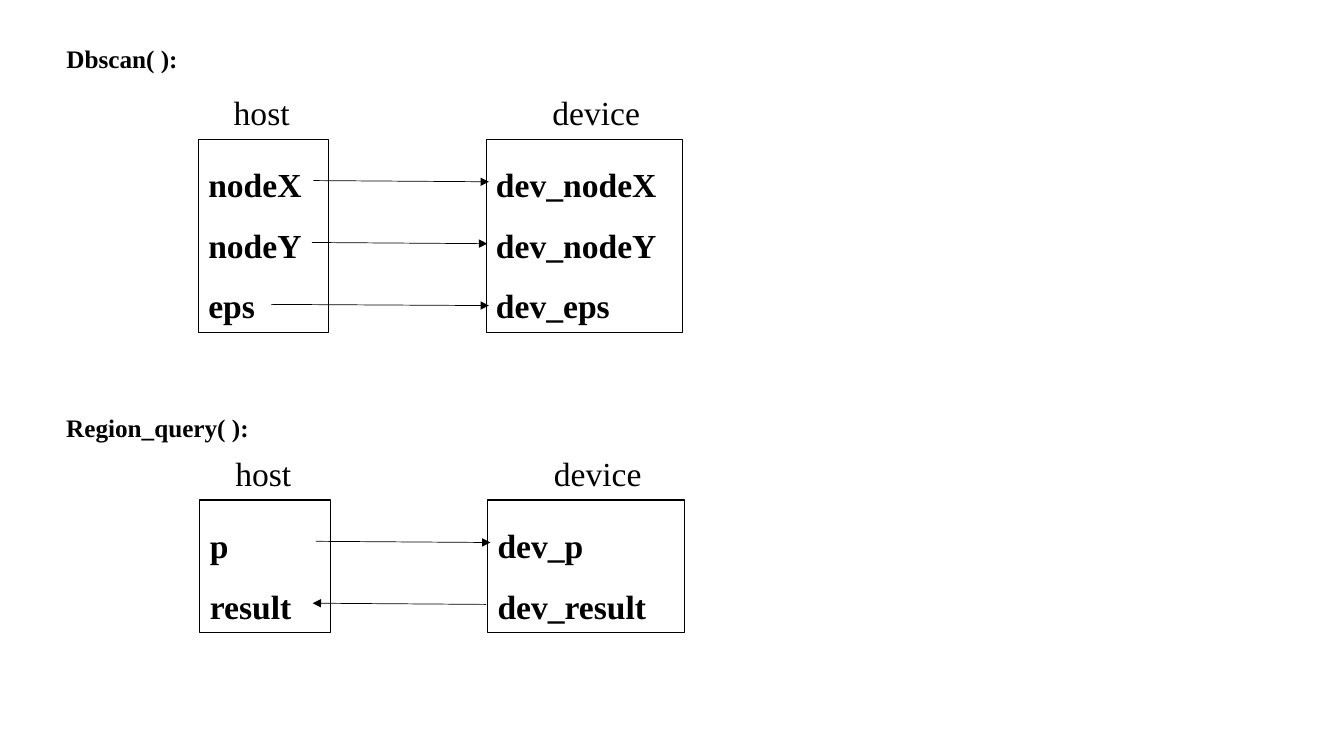
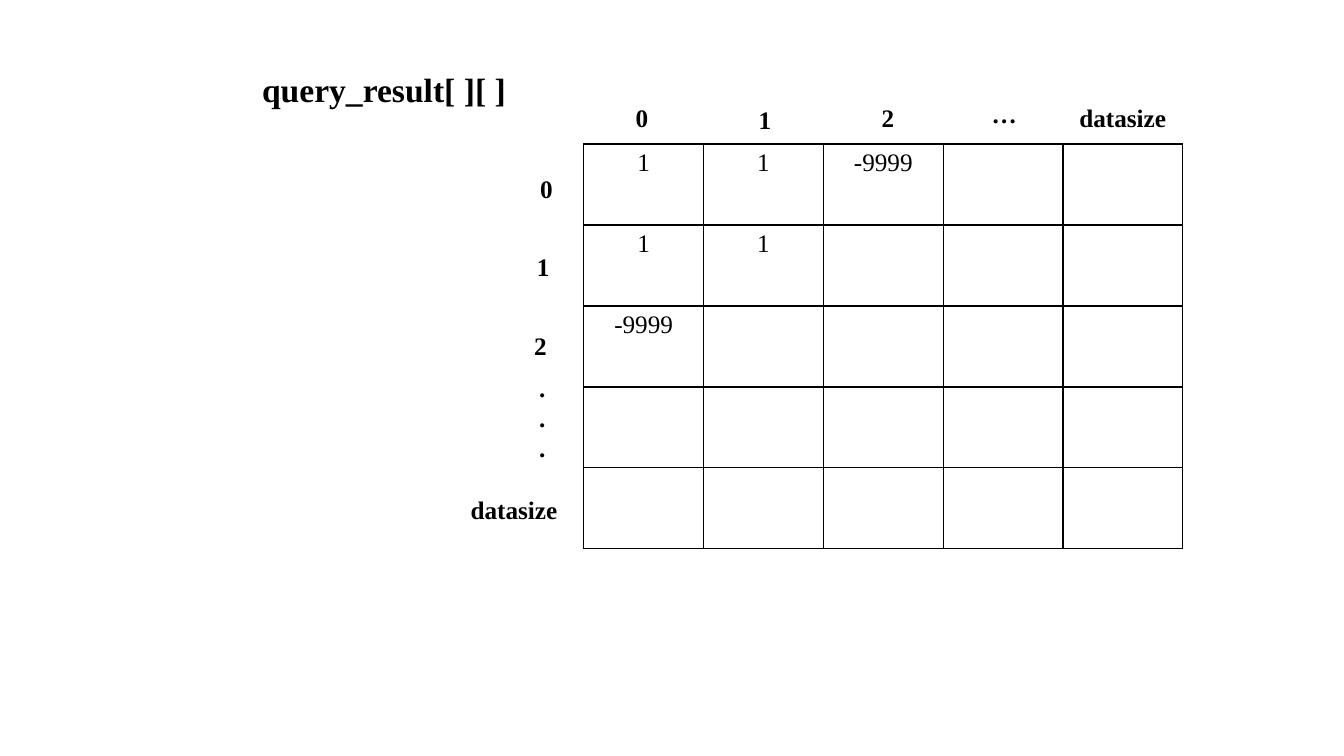
from dataclasses import dataclass

from lxml import etree
from pptx import Presentation
from pptx import util as u
from pptx.dml.color import RGBColor
from pptx.enum import shapes, text
from pptx.oxml import ns

INK = RGBColor(0x00, 0x00, 0x00)
FONT = "Times New Roman"
LARGE, SMALL = 24, 18
LINE_HEIGHT = {LARGE: 1.27, SMALL: 1.03}
TITLE_ONLY = 5


@dataclass(frozen=True)
class Label:
    """A line or lines of text; lengths are in centimetres."""
    words: str
    left: float
    top: float
    width: float
    size: int = SMALL
    bold: bool = True


@dataclass(frozen=True)
class Transfer:
    """A host variable and its device twin, with arrow ends relative to the boxes."""
    host: str
    device: str
    host_end: float
    device_end: float
    to_host: bool = False


@dataclass(frozen=True)
class MemoryMap:
    left: float
    top: float
    height: float
    transfers: tuple[Transfer, ...]


HOST_WIDTH, DEVICE_WIDTH = 3.28, 4.96
DEVICE_OFFSET = 7.25
ARROW_OFFSET, ARROW_PITCH, ARROW_DROP = 1.04, 1.56, 0.03

DBSCAN_MAP = MemoryMap(5, 3.51, 4.88, (
    Transfer("nodeX", "dev_nodeX", 2.9, 0.07),
    Transfer("nodeY", "dev_nodeY", 2.86, 0.03),
    Transfer("eps", "dev_eps", 1.83, 0.07),
))
REGION_QUERY_MAP = MemoryMap(5.04, 12.6, 3.33, (
    Transfer("p", "dev_p", 2.92, 0.07),
    Transfer("result", "dev_result", 2.84, -0.04, to_host=True),
))

DBSCAN_TITLE = Label("Dbscan( ):", 1.42, 0.97, 3.56)
REGION_QUERY_TITLE = Label("Region_query( ):", 1.42, 10.26, 5.41)
RESULT_TITLE = Label("query_result[ ][ ]", 6.35, 1.6, 7.14, LARGE)

INDEX_WIDTH, DATASIZE_WIDTH = 1.37, 2.87
INDEX_LABELS = (
    Label("0", 15.77, 2.46, INDEX_WIDTH),
    Label("1", 18.87, 2.51, INDEX_WIDTH),
    Label("2", 21.97, 2.46, INDEX_WIDTH),
    Label("…", 24.74, 2.36, INDEX_WIDTH),
    Label("datasize", 26.95, 2.46, DATASIZE_WIDTH),
    Label("0", 13.36, 4.24, INDEX_WIDTH),
    Label("1", 13.28, 6.2, INDEX_WIDTH),
    Label("2", 13.21, 8.2, INDEX_WIDTH),
    Label(".\n.\n.", 13.34, 9.25, INDEX_WIDTH),
    Label("datasize", 11.61, 12.32, DATASIZE_WIDTH),
)

GRID_SIZE = 5
COLUMN_WIDTH, ROW_HEIGHT = 3.02, 2.04
RESULTS = {(0, 0): "1", (0, 1): "1", (0, 2): "-9999",
           (1, 0): "1", (1, 1): "1", (2, 0): "-9999"}


def write(frame, words: str, size: int, bold: bool,
          align=text.PP_ALIGN.LEFT, spacing: float = 1.0) -> None:
    frame.text = words
    for paragraph in frame.paragraphs:
        paragraph.alignment = align
        paragraph.line_spacing = spacing
        font = paragraph.font
        font.name, font.size, font.bold = FONT, u.Pt(size), bold
        font.color.rgb = INK


def fill_label(box, label: Label) -> None:
    """Place a text box or placeholder and write its label."""
    lines = label.words.count("\n") + 1
    box.left, box.top, box.width = u.Cm(label.left), u.Cm(label.top), u.Cm(label.width)
    box.height = u.Cm(0.25 + lines * (LINE_HEIGHT[label.size] - 0.25))
    frame = box.text_frame
    frame.word_wrap = True
    frame.vertical_anchor = text.MSO_ANCHOR.TOP
    frame.auto_size = text.MSO_AUTO_SIZE.SHAPE_TO_FIT_TEXT
    write(frame, label.words, label.size, label.bold)


def add_label(slide, label: Label) -> None:
    fill_label(slide.shapes.add_textbox(0, 0, 0, 0), label)


def add_titled_slide(deck, title: Label):
    slide = deck.slides.add_slide(deck.slide_layouts[TITLE_ONLY])
    fill_label(slide.shapes.title, title)
    return slide


def add_variables(slide, left: float, top: float, width: float, height: float,
                  names: list[str]) -> None:
    box = slide.shapes.add_shape(shapes.MSO_SHAPE.RECTANGLE,
                                 u.Cm(left), u.Cm(top), u.Cm(width), u.Cm(height))
    box.shadow.inherit = False
    box.fill.background()
    box.line.color.rgb = INK
    box.line.width = u.Pt(0.75)
    frame = box.text_frame
    frame.word_wrap = True
    frame.vertical_anchor = text.MSO_ANCHOR.TOP
    frame.auto_size = text.MSO_AUTO_SIZE.SHAPE_TO_FIT_TEXT
    write(frame, "\n".join(names), LARGE, True, spacing=1.5)


def add_arrow(slide, start: tuple[float, float], end: tuple[float, float]) -> None:
    arrow = slide.shapes.add_connector(shapes.MSO_CONNECTOR.STRAIGHT,
                                       *map(u.Cm, start + end))
    arrow.line.color.rgb = INK
    arrow.line.width = u.Pt(0.5)
    etree.SubElement(arrow.line._get_or_add_ln(), ns.qn("a:tailEnd"), type="triangle")
    etree.SubElement(arrow._element.spPr, ns.qn("a:effectLst"))


def add_memory_map(slide, memory: MemoryMap) -> None:
    """Draw the host and device boxes with an arrow for each transfer."""
    device_left = memory.left + DEVICE_OFFSET
    add_variables(slide, device_left, memory.top, DEVICE_WIDTH, memory.height,
                  [transfer.device for transfer in memory.transfers])
    add_variables(slide, memory.left, memory.top, HOST_WIDTH, memory.height,
                  [transfer.host for transfer in memory.transfers])
    heading_top = memory.top - 1.32
    add_label(slide, Label("host", memory.left + 0.64, heading_top, 2.29, LARGE, False))
    add_label(slide, Label("device", device_left + 1.42, heading_top, 3.53, LARGE, False))
    for row, transfer in enumerate(memory.transfers):
        y = memory.top + ARROW_OFFSET + row * ARROW_PITCH
        host = (memory.left + transfer.host_end, y)
        device = (device_left + transfer.device_end, y + ARROW_DROP)
        if transfer.to_host:
            add_arrow(slide, device, host)
        else:
            add_arrow(slide, host, device)


def add_borders(cell) -> None:
    properties = cell._tc.get_or_add_tcPr()
    for position, side in enumerate(("lnL", "lnR", "lnT", "lnB")):
        border = etree.Element(ns.qn(f"a:{side}"), w=str(u.Pt(1)))
        fill = etree.SubElement(border, ns.qn("a:solidFill"))
        etree.SubElement(fill, ns.qn("a:srgbClr"), val=str(INK))
        properties.insert(position, border)


def add_result_grid(slide) -> None:
    table = slide.shapes.add_table(
        GRID_SIZE, GRID_SIZE, u.Cm(14.71), u.Cm(3.63),
        u.Cm(GRID_SIZE * COLUMN_WIDTH), u.Cm(GRID_SIZE * ROW_HEIGHT)).table
    table.first_row = table.horz_banding = False
    for column in table.columns:
        column.width = u.Cm(COLUMN_WIDTH)
    for row_index, row in enumerate(table.rows):
        row.height = u.Cm(ROW_HEIGHT)
        for column_index, cell in enumerate(row.cells):
            cell.fill.background()
            add_borders(cell)
            write(cell.text_frame, RESULTS.get((row_index, column_index), ""),
                  SMALL, False, text.PP_ALIGN.CENTER)


def main() -> None:
    deck = Presentation()
    deck.slide_width, deck.slide_height = u.Cm(33.87), u.Cm(19.05)

    transfers = add_titled_slide(deck, DBSCAN_TITLE)
    add_memory_map(transfers, DBSCAN_MAP)
    add_label(transfers, REGION_QUERY_TITLE)
    add_memory_map(transfers, REGION_QUERY_MAP)

    results = add_titled_slide(deck, RESULT_TITLE)
    add_result_grid(results)
    for label in INDEX_LABELS:
        add_label(results, label)

    deck.save("out.pptx")


if __name__ == "__main__":
    main()
